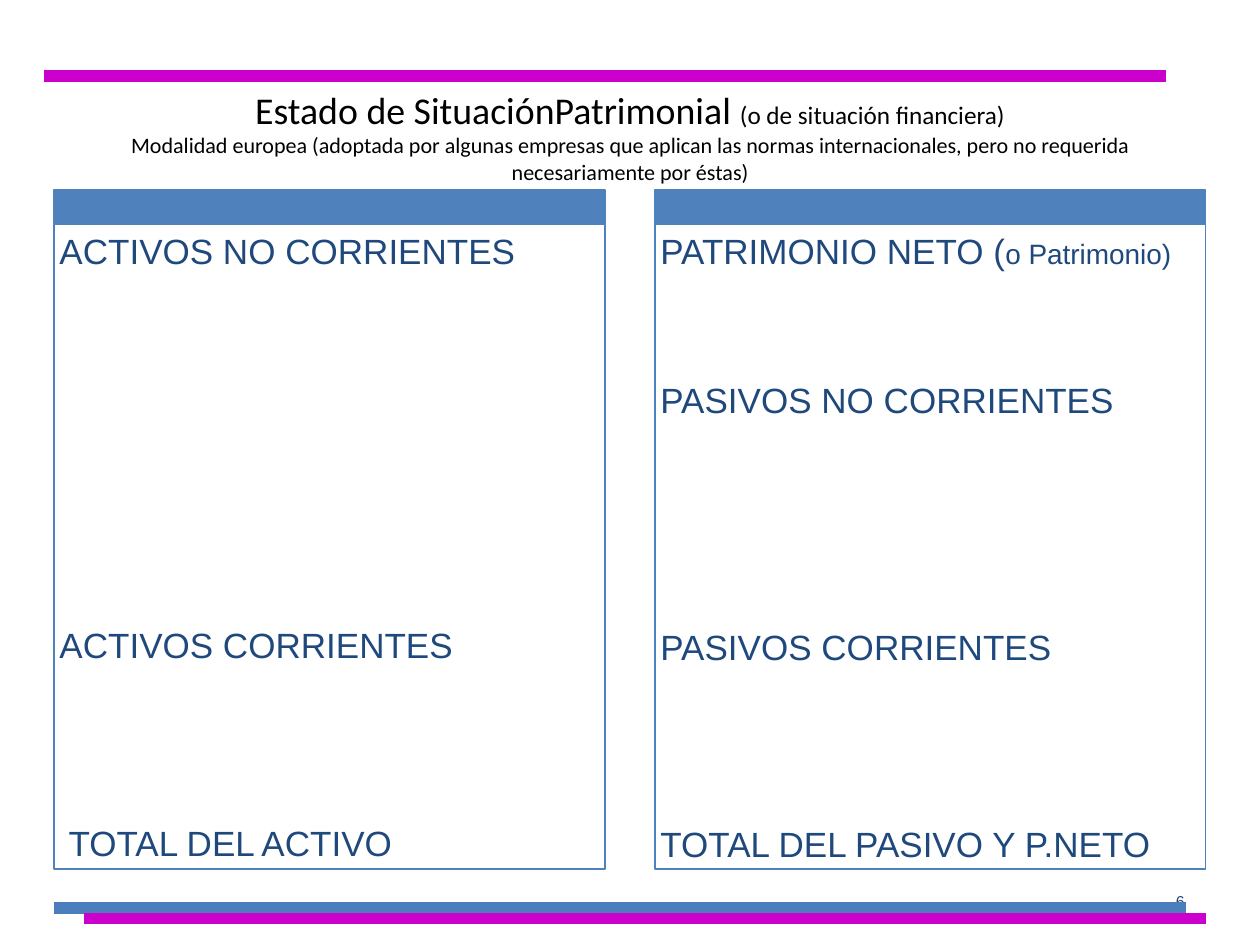
"""Build the slide that lays out a balance sheet in its European form."""
from dataclasses import dataclass

from lxml.etree import SubElement
from pptx import Presentation
from pptx.dml.color import RGBColor
from pptx.enum.shapes import MSO_CONNECTOR, MSO_SHAPE
from pptx.enum.text import MSO_ANCHOR, MSO_AUTO_SIZE, PP_ALIGN
from pptx.oxml.ns import qn
from pptx.util import Pt


@dataclass(frozen=True)
class Theme:
    black: str = "000000"
    navy: str = "1F497D"
    blue: str = "4F81BD"
    rule_blue: str = "4B7EBC"
    magenta: str = "CC00CC"
    title_font: str = "Calibri"
    body_font: str = "Arial"
    title: float = 21.6
    aside: float = 14.4
    subtitle: float = 12.6
    heading: float = 20
    heading_aside: float = 16
    number: float = 9
    outline: float = 1
    rule: float = 6.75
    row: float = 28
    text_line: float = 23


class Deck:
    def __init__(self, prs, theme):
        self.theme = theme
        self.s = prs.slides.add_slide(prs.slide_layouts[5])

    def style(self, obj, values):
        for name, value in values.items():
            setattr(obj, name, value)

    def add_runs(self, p, runs, font, color):
        for text, size in runs:
            r = p.add_run()
            r.text = text
            self.style(r.font, {"name": font, "size": Pt(size)})
            r.font.color.rgb = RGBColor.from_string(color)

    def title(self, x, y, w, h, lines):
        sp = self.s.shapes.title
        self.style(sp, {"left": Pt(x), "top": Pt(y), "width": Pt(w), "height": Pt(h)})
        tf = sp.text_frame
        self.style(tf, {"word_wrap": True, "auto_size": MSO_AUTO_SIZE.NONE,
                        "vertical_anchor": MSO_ANCHOR.BOTTOM, "margin_bottom": Pt(6)})
        for i, runs in enumerate(lines):
            p = tf.add_paragraph() if i else tf.paragraphs[0]
            p.alignment = PP_ALIGN.CENTER
            self.add_runs(p, runs, self.theme.title_font, self.theme.black)

    def number(self, x, y, w, h, text):
        tf = self.s.shapes.add_textbox(Pt(x), Pt(y), Pt(w), Pt(h)).text_frame
        self.style(tf, {"word_wrap": True, "vertical_anchor": MSO_ANCHOR.MIDDLE})
        p = tf.paragraphs[0]
        p.alignment = PP_ALIGN.RIGHT
        self.add_runs(p, [(text, self.theme.number)], self.theme.body_font, self.theme.navy)

    def box(self, group, x, y, w, h, filled):
        sp = group.shapes.add_shape(MSO_SHAPE.RECTANGLE, Pt(x), Pt(y), Pt(w), Pt(h))
        sp.shadow.inherit = False
        color = RGBColor.from_string(self.theme.blue)
        if filled:
            sp.fill.solid()
            sp.fill.fore_color.rgb = color
        else:
            sp.fill.background()
        sp.line.color.rgb = color
        sp.line.width = Pt(self.theme.outline)
        return sp

    def panel(self, x, y, w, band_h, body_h, headings):
        group = self.s.shapes.add_group_shape()
        self.box(group, x, y, w, band_h, True)
        tf = self.box(group, x, y + band_h, w, body_h, False).text_frame
        margins = ("margin_left", "margin_top", "margin_right", "margin_bottom")
        self.style(tf, dict.fromkeys(margins, Pt(3)))
        self.style(tf, {"word_wrap": True, "vertical_anchor": MSO_ANCHOR.TOP})
        last = -1
        for i, (row, runs) in enumerate(headings):
            p = tf.add_paragraph() if i else tf.paragraphs[0]
            gap = self.theme.row * (row - last) - self.theme.text_line
            self.style(p, {"alignment": PP_ALIGN.LEFT, "space_before": Pt(gap)})
            self.add_runs(p, runs, self.theme.body_font, self.theme.navy)
            last = row

    def rule(self, x1, x2, y, color):
        c = self.s.shapes.add_connector(MSO_CONNECTOR.STRAIGHT, Pt(x1), Pt(y), Pt(x2), Pt(y))
        c.line.color.rgb = RGBColor.from_string(color)
        c.line.width = Pt(self.theme.rule)
        SubElement(c._element.spPr, qn("a:effectLst"))


def main():
    prs = Presentation()
    prs.slide_width, prs.slide_height = Pt(720), Pt(540)
    theme = Theme()
    deck = Deck(prs, theme)
    deck.title(36, 21.6, 648, 90, [
        [("Estado de SituaciónPatrimonial ", theme.title),
         ("(o de situación financiera)", theme.aside)],
        [("Modalidad europea (adoptada por algunas empresas que aplican las normas "
          "internacionales, pero no requerida necesariamente por éstas)", theme.subtitle)],
    ])
    deck.number(516, 500.4, 168, 28.8, "6")
    size = theme.heading
    panels = [
        (31, [(0, [("ACTIVOS NO CORRIENTES", size)]),
              (8, [("ACTIVOS CORRIENTES", size)]),
              (12, [(" TOTAL DEL ACTIVO", size)])]),
        (374.4, [(0, [("PATRIMONIO NETO (", size), ("o Patrimonio)", theme.heading_aside)]),
                 (3, [("PASIVOS NO CORRIENTES", size)]),
                 (8, [("PASIVOS CORRIENTES", size)]),
                 (12, [("TOTAL DEL PASIVO Y P.NETO", size)])]),
    ]
    for x, headings in panels:
        deck.panel(x, 108.7, 314.6, 19.5, 368.6, headings)
    for x1, x2, y, color in [(31, 677.5, 519.1, theme.rule_blue),
                             (48.2, 689, 524.9, theme.magenta),
                             (25.2, 666, 43.2, theme.magenta)]:
        deck.rule(x1, x2, y, color)
    prs.save("out.pptx")


if __name__ == "__main__":
    main()
